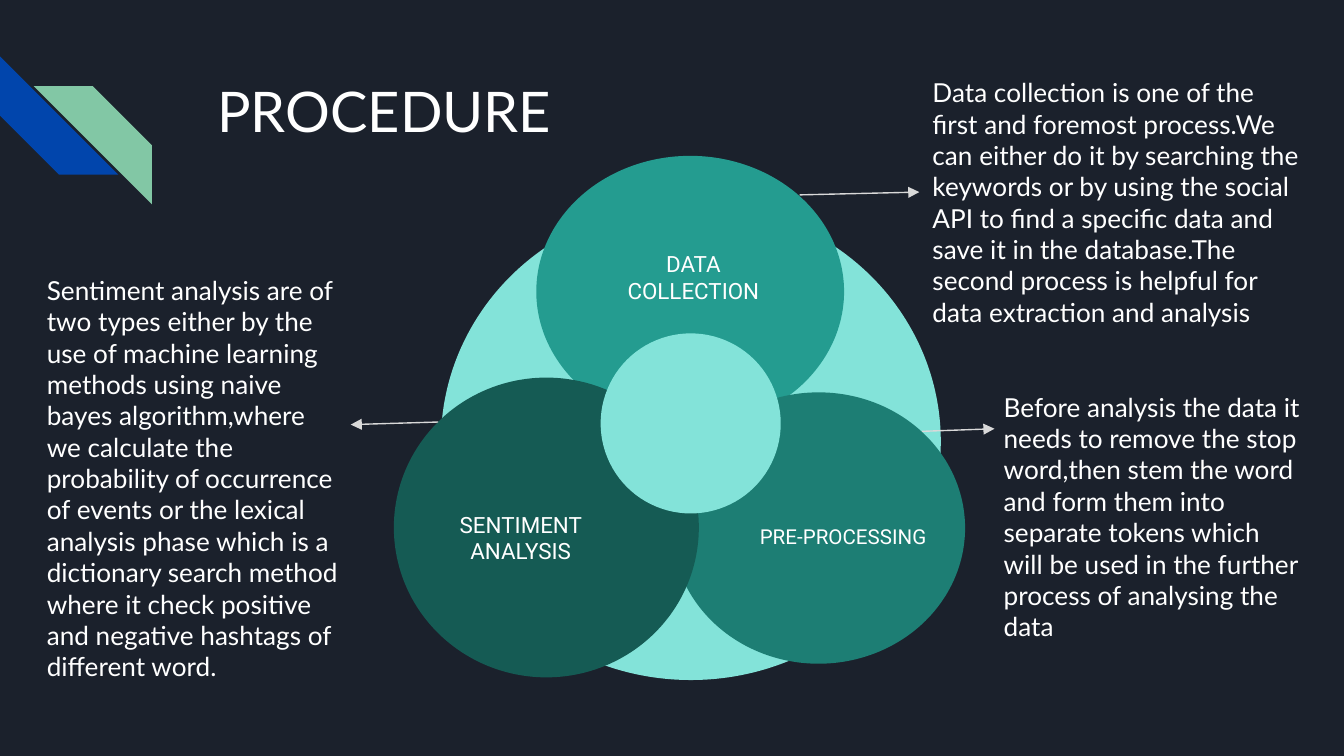
from dataclasses import dataclass
from lxml.etree import SubElement
from pptx import Presentation
from pptx.dml.color import RGBColor
from pptx.enum.shapes import MSO_CONNECTOR, MSO_SHAPE
from pptx.enum.text import MSO_ANCHOR, PP_ALIGN
from pptx.oxml.ns import qn
from pptx.util import Pt


@dataclass(frozen=True)
class Theme:
    back: str = "1B212C"
    text: str = "FFFFFF"
    line: str = "D9D9D9"
    blue: str = "0145AC"
    green: str = "82C7A5"
    pale: str = "83E3D9"
    teal: str = "249C90"
    mid: str = "1D7E74"
    deep: str = "155B54"
    title: float = 30
    body: float = 14
    label: float = 12
    small: float = 11
    main_font: str = "Lato"
    label_font: str = "Roboto"


def add_filled(shapes, kind, box, color):
    s = shapes.add_shape(kind, *map(Pt, box))
    s.shadow.inherit = False
    s.fill.solid()
    s.fill.fore_color.rgb = RGBColor.from_string(color)
    s.line.fill.background()
    return s


def add_text(shapes, box, text, size, font, align=PP_ALIGN.LEFT, anchor=MSO_ANCHOR.TOP):
    s = shapes.add_textbox(*map(Pt, box))
    tf = s.text_frame
    frame = {"word_wrap": True, "vertical_anchor": anchor}
    frame.update({f"margin_{side}": Pt(7.2) for side in ("left", "top", "right", "bottom")})
    for name, value in frame.items():
        setattr(tf, name, value)
    p = tf.paragraphs[0]
    p.alignment = align
    r = p.add_run()
    r.text = text
    for name, value in {"size": Pt(size), "name": font}.items():
        setattr(r.font, name, value)
    r.font.color.rgb = RGBColor.from_string(theme.text)
    return s


theme = Theme()
prs = Presentation()
prs.slide_width, prs.slide_height = Pt(720), Pt(405)
slide = prs.slides.add_slide(prs.slide_layouts[6])
slide.background.fill.solid()
slide.background.fill.fore_color.rgb = RGBColor.from_string(theme.back)

stripes = slide.shapes.add_group_shape().shapes
blue_stripe = add_filled(stripes, MSO_SHAPE.DIAGONAL_STRIPE, (0, 30.2, 63.4, 63.4), theme.blue)
blue_stripe.rotation = 270
green_stripe = add_filled(stripes, MSO_SHAPE.DIAGONAL_STRIPE, (18, 46.1, 63.4, 63.4), theme.green)
green_stripe._element.spPr.find(qn("a:xfrm")).set("flipH", "1")

add_text(slide.shapes, (109.4, 33.8, 496.8, 68.4), "PROCEDURE", theme.title, theme.main_font)

add_filled(slide.shapes, MSO_SHAPE.OVAL, (236.2, 108.7, 267.8, 255.6), theme.pale)
stages = [
    ("DATA COLLECTION", (287.3, 83.5, 164.9, 145.4), theme.teal,
     (314.6, 124.6, 113.8, 47.5), theme.label),
    ("PRE-PROCESSING", (360, 210.2, 157, 145.4), theme.mid,
     (397.4, 263.5, 108.7, 47.5), theme.small),
    ("SENTIMENT ANALYSIS", (211, 202.3, 163.4, 160.6), theme.deep,
     (222.5, 262.1, 113, 51.8), theme.label),
]
for name, circle, color, label, size in stages:
    stage = slide.shapes.add_group_shape().shapes
    add_filled(stage, MSO_SHAPE.OVAL, circle, color)
    add_text(stage, label, name, size, theme.label_font, PP_ALIGN.CENTER, MSO_ANCHOR.MIDDLE)
add_filled(slide.shapes, MSO_SHAPE.OVAL, (321.8, 178.6, 96.5, 96.5), theme.pale)

notes = [
    ("Data collection is one of the first and foremost process.We can either do it by "
     "searching the keywords or by using the social API to find a specific data and save "
     "it in the database.The second process is helpful for data extraction and analysis",
     (492.5, 33.8, 213.1, 138.2), (428.4, 104.4, 492.5, 102.5), 1),
    ("Before analysis the data it needs to remove the stop word,then stem the word and "
     "form them into separate tokens which will be used in the further process of "
     "analysing the data",
     (530.6, 202.3, 174.2, 177.8), (493.9, 231.1, 532.8, 229.7), None),
    ("Sentiment analysis are of two types either by the use of machine learning methods "
     "using naive bayes algorithm,where we calculate the probability of occurrence of "
     "events or the lexical analysis phase which is a dictionary search method where it "
     "check positive and negative hashtags of different word.",
     (18, 139.7, 174.2, 229.7), (234.7, 226.1, 187.9, 227.5), None),
]
for text, box, ends, side in notes:
    note = add_text(slide.shapes, box, text, theme.body, theme.main_font)
    arrow = slide.shapes.add_connector(MSO_CONNECTOR.STRAIGHT, *map(Pt, ends))
    if side is not None:
        arrow.end_connect(note, side)
    arrow.line.width = Pt(0.75)
    arrow.line.color.rgb = RGBColor.from_string(theme.line)
    SubElement(arrow.line._get_or_add_ln(), qn("a:tailEnd"), type="triangle", w="med", len="med")
    SubElement(arrow._element.spPr, qn("a:effectLst"))

prs.save("out.pptx")
